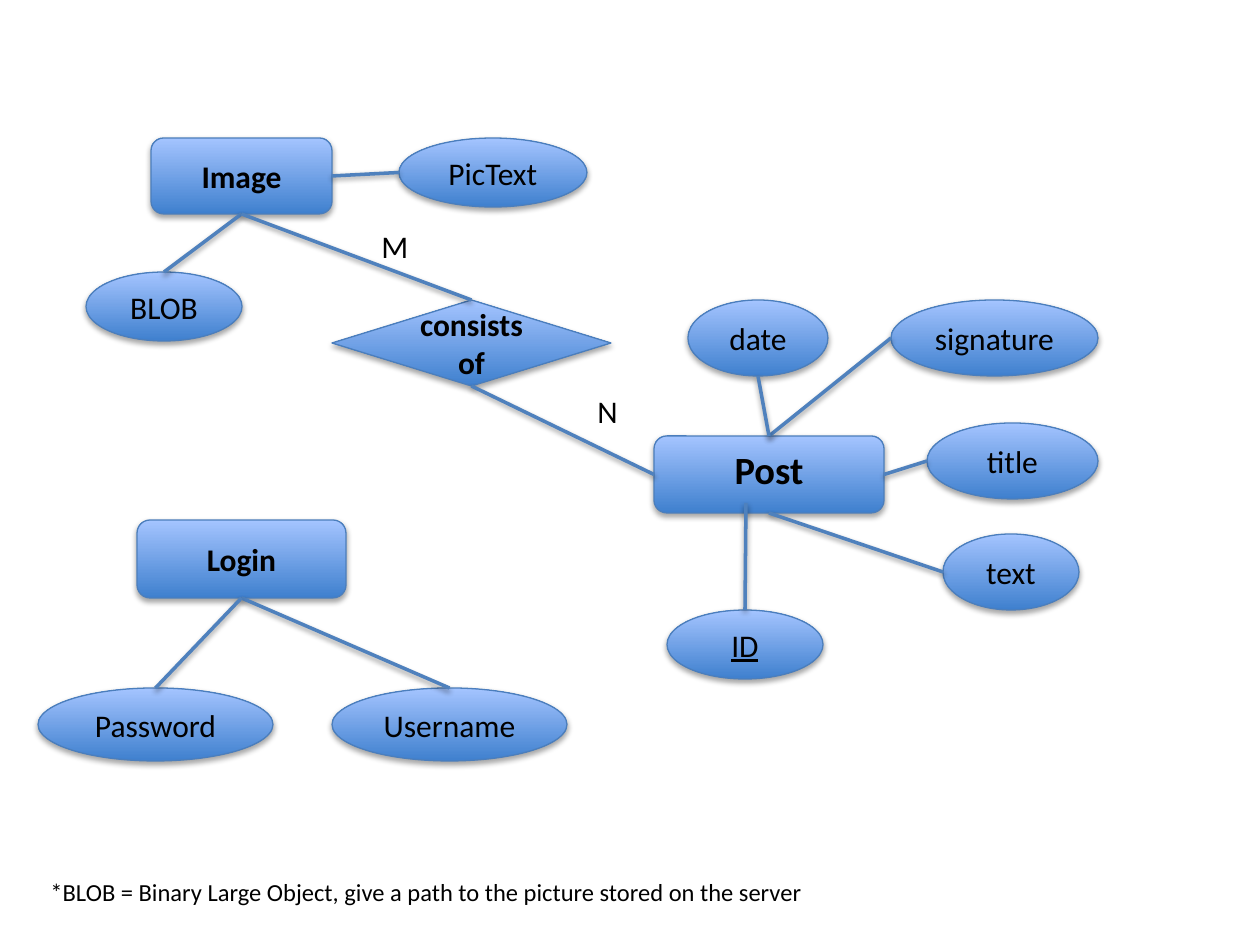
from dataclasses import dataclass

from lxml.etree import SubElement
from pptx import Presentation
from pptx.dml.color import RGBColor as RGB
from pptx.enum.shapes import MSO_CONNECTOR as Conn, MSO_SHAPE as Kind
from pptx.enum.text import MSO_ANCHOR as Anchor, MSO_AUTO_SIZE as Auto, PP_ALIGN as Align
from pptx.oxml.ns import qn
from pptx.util import Emu, Inches, Pt

TOP, LEFT, BOTTOM, RIGHT = range(4)


@dataclass(frozen=True)
class Theme:
    font: str = "Calibri"
    ink: str = "000000"
    dark: str = "3F80CE"
    light: str = "A4C4FF"
    edge: str = "4B7EBC"
    link: str = "4F81BD"
    body: int = 18
    head: int = 22
    note: int = 14


LOOK = Theme()


def px(n):
    """Turn pixels into EMU."""
    return Emu(round(n * Inches(1) / 126))


def shade(item, dist, alpha):
    """Give an item a soft shadow that falls straight down."""
    fx = SubElement(item._element.spPr, qn("a:effectLst"))
    drop = SubElement(fx, qn("a:outerShdw"), blurRad="40000", dist=str(dist),
                      dir="5400000", rotWithShape="0")
    tint = SubElement(drop, qn("a:srgbClr"), val=LOOK.ink)
    SubElement(tint, qn("a:alpha"), val=str(alpha * 1000))


def write(frame, text, size=LOOK.body, bold=False, under=False,
          align=Align.CENTER, anchor=Anchor.MIDDLE, wrap=True):
    """Put formatted text into a frame."""
    frame.word_wrap = wrap
    frame.vertical_anchor = anchor
    para = frame.paragraphs[0]
    para.alignment = align
    run = para.add_run()
    run.text = text
    font = run.font
    font.name, font.size = LOOK.font, Pt(size)
    font.bold, font.underline = bold, under
    font.color.rgb = RGB.from_string(LOOK.ink)


def node(slide, kind, text, box, **fmt):
    """Draw one shaded shape of the diagram."""
    shape = slide.shapes.add_shape(kind, *map(px, box))
    shape.fill.gradient()
    shape.fill.gradient_angle = 90
    for stop, tone in zip(shape.fill.gradient_stops, (LOOK.dark, LOOK.light)):
        stop.color.rgb = RGB.from_string(tone)
    for stop, place in zip(shape.fill.gradient_stops, (0, 1)):
        stop.position = place
    shape.line.color.rgb = RGB.from_string(LOOK.edge)
    shape.line.width = Pt(0.75)
    shade(shape, 23000, 35)
    write(shape.text_frame, text, **fmt)
    return shape


def label(slide, text, box, size=LOOK.body):
    """Place free text that does not wrap."""
    frame = slide.shapes.add_textbox(*map(px, box)).text_frame
    write(frame, text, size=size, align=Align.LEFT, anchor=Anchor.TOP, wrap=False)
    frame.auto_size = Auto.SHAPE_TO_FIT_TEXT


def spot(shape, side):
    """Find the middle of one side of a shape."""
    across = {LEFT: 0, RIGHT: 2}.get(side, 1)
    down = {TOP: 0, BOTTOM: 2}.get(side, 1)
    return (shape.left + shape.width * across // 2,
            shape.top + shape.height * down // 2)


def wire(slide, start, end):
    """Draw a shaded straight line between two points."""
    line = slide.shapes.add_connector(Conn.STRAIGHT, *start, *end)
    line.line.color.rgb = RGB.from_string(LOOK.link)
    line.line.width = Pt(2)
    shade(line, 20000, 38)
    return line


def link(slide, one, out, two, into):
    """Wire two shapes, joining ends whose site number matches the side."""
    line = wire(slide, spot(one, out), spot(two, into))
    for shape, side, join in ((one, out, line.begin_connect), (two, into, line.end_connect)):
        if shape.auto_shape_type != Kind.OVAL or side == TOP:
            join(shape, side)


def main():
    """Build the entity diagram."""
    deck = Presentation()
    deck.slide_width, deck.slide_height = Inches(10), Inches(7.5)
    slide = deck.slides.add_slide(deck.slide_layouts[6])

    rect = Kind.ROUNDED_RECTANGLE
    post = node(slide, rect, "Post", (654, 436, 230, 77),
                size=LOOK.head, bold=True, anchor=Anchor.TOP)
    image = node(slide, rect, "Image", (151, 138, 181, 76), bold=True)
    login = node(slide, rect, "Login", (137, 520, 209, 78), bold=True)
    bond = node(slide, Kind.DIAMOND, "consists of", (332, 300, 279, 86), bold=True)

    fields = (
        ("title", (927, 423, 171, 76), post, RIGHT, LEFT),
        ("signature", (891, 300, 207, 76), post, TOP, LEFT),
        ("date", (688, 300, 140, 76), post, TOP, BOTTOM),
        ("text", (943, 534, 136, 76), post, BOTTOM, LEFT),
        ("BLOB", (86, 272, 156, 69), image, BOTTOM, TOP),
        ("PicText", (399, 138, 188, 69), image, RIGHT, LEFT),
        ("Username", (332, 688, 235, 73), login, BOTTOM, TOP),
        ("Password", (38, 688, 235, 73), login, BOTTOM, TOP),
    )
    for text, box, owner, out, into in fields:
        link(slide, owner, out, node(slide, Kind.OVAL, text, box), into)

    key = node(slide, Kind.OVAL, "ID", (667, 610, 156, 69), under=True)
    wire(slide, spot(key, TOP), (px(746), px(503)))
    link(slide, image, BOTTOM, bond, TOP)
    link(slide, bond, BOTTOM, post, LEFT)

    label(slide, "M", (369, 221, 53, 50))
    label(slide, "N", (585, 386, 45, 50))
    label(slide, "*BLOB = Binary Large Object, give a path to the picture stored on the server",
          (38, 871, 786, 43), size=LOOK.note)
    deck.save("out.pptx")


if __name__ == "__main__":
    main()
